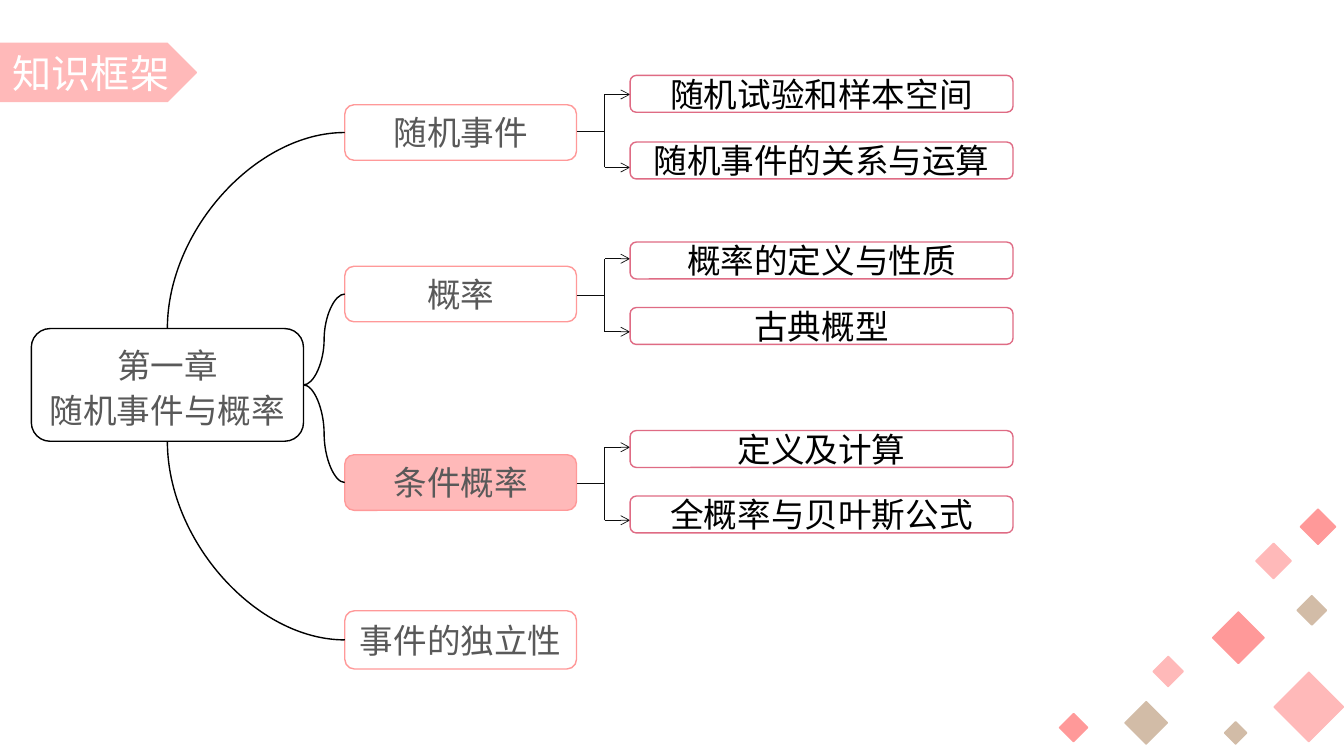
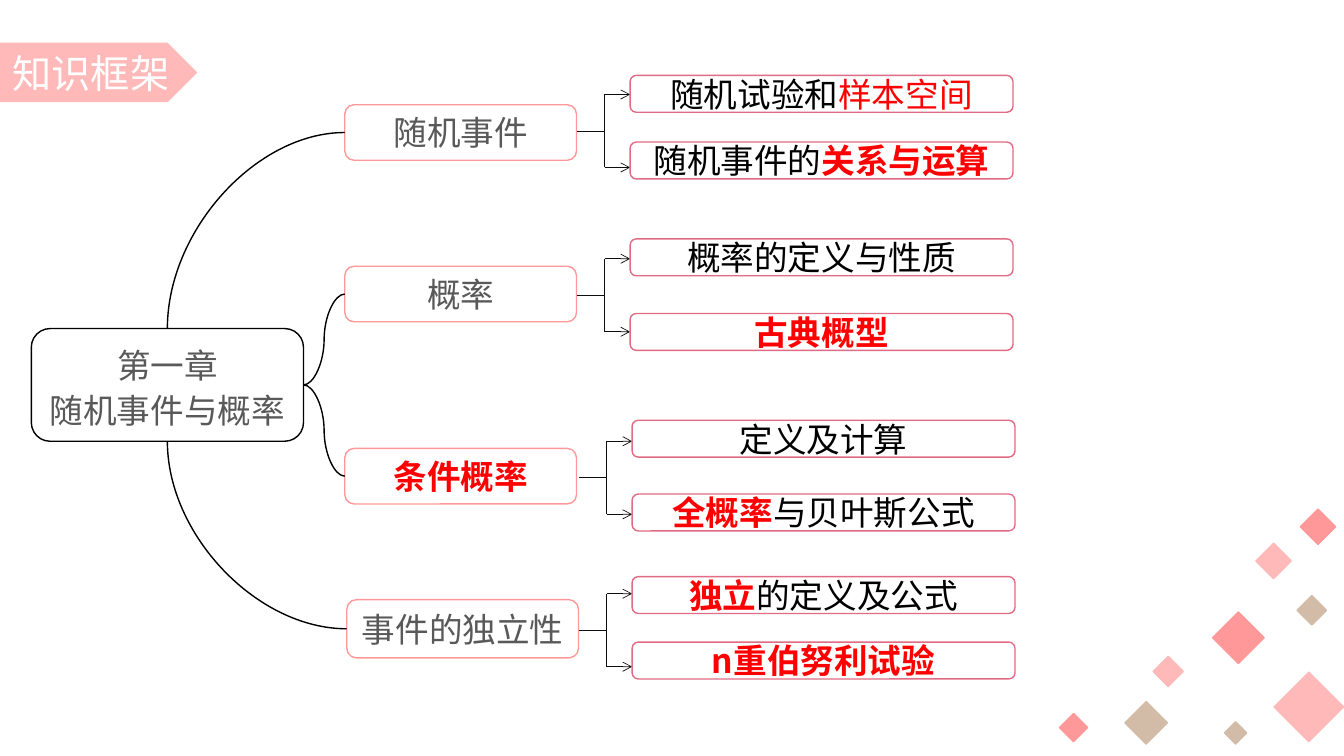
"""Build the two knowledge-framework slides of the probability chapter."""
from pptx import Presentation
from pptx.dml.color import RGBColor
from pptx.enum.shapes import MSO_CONNECTOR, MSO_SHAPE
from pptx.enum.text import MSO_ANCHOR, PP_ALIGN
from pptx.oxml.ns import qn
from pptx.util import Cm, Pt
from lxml import etree

STRAIGHT, CURVE = MSO_CONNECTOR.STRAIGHT, MSO_CONNECTOR.CURVE
DIAMOND, PENTAGON = MSO_SHAPE.DIAMOND, MSO_SHAPE.PENTAGON
ROUNDED = MSO_SHAPE.ROUNDED_RECTANGLE
MIDDLE, CENTER = MSO_ANCHOR.MIDDLE, PP_ALIGN.CENTER
TOP_SITE, LEFT_SITE, BOTTOM_SITE, RIGHT_SITE = range(4)

FONT = "Noto Sans CJK SC"
COLOURS = {
    "pink": "FFB9B9", "coral": "FF9999", "tan": "D2BCA7", "rose": "DF6B84",
    "grey": "595959", "ink": "0D0D0D", "black": "000000", "white": "FFFFFF",
    "red": "FF0000",
}
DIAMONDS = [
    (31.65, 13.69, 0.89, "pink"), (32.11, 16.94, 1.75, "pink"),
    (30.86, 18.19, 0.56, "tan"), (30.56, 15.42, 1.3, "coral"),
    (32.69, 15.01, 0.74, "tan"), (28.35, 17.68, 1.07, "tan"),
    (26.7, 17.98, 0.71, "coral"), (32.77, 12.83, 0.89, "coral"),
    (29.06, 16.54, 0.76, "pink"),
]
BRANCH_LEFT, BRANCH_WIDTH = 8.69, 5.84
LEAF_LEFT, LEAF_WIDTH, LEAF_HEIGHT = 15.88, 9.65, 0.93
FORK_LEFT, FORK_SPINE, FORK_REACH = 14.53, 15.24, 0.92
SHIFT = 0.05


def rgb(name):
    """Return the named colour."""
    return RGBColor.from_string(COLOURS[name])


def plain(text, colour="black"):
    """Return one unstressed span."""
    return text, {"colour": colour}


def key(text, bold=True):
    """Return one span stressed in red."""
    return text, {"colour": "red", "bold": bold}


def add_span(para, text, *, colour, size=24, bold=False):
    """Add formatted text to a paragraph."""
    span = para.add_run()
    span.text = text
    span.font.name = FONT
    span.font.size = Pt(size)
    span.font.bold = bold
    span.font.color.rgb = rgb(colour)
    etree.SubElement(span.font._element, qn("a:ea"), typeface=FONT)


def add_box(shapes, kind, place, *, line, fill=None, lines=(), spacing=None):
    """Add an outlined shape with centred lines of spans."""
    box = shapes.add_shape(kind, *(Cm(length) for length in place))
    box.shadow.inherit = False
    box.line.color.rgb = rgb(line)
    box.line.width = Pt(1)
    if fill:
        box.fill.solid()
        box.fill.fore_color.rgb = rgb(fill)
    else:
        box.fill.background()
    frame = box.text_frame
    frame.vertical_anchor = MIDDLE
    for index, spans in enumerate(lines):
        para = frame.add_paragraph() if index else frame.paragraphs[0]
        para.alignment = CENTER
        para.line_spacing = spacing
        for text, style in spans:
            add_span(para, text, **style)
    return box


def style_connector(connector, colour, width, arrow=False):
    """Set the stroke of a connector and drop its shadow."""
    connector.line.color.rgb = rgb(colour)
    connector.line.width = Pt(width)
    if arrow:
        etree.SubElement(connector.line._get_or_add_ln(), qn("a:tailEnd"), type="arrow")
    etree.SubElement(connector._element.spPr, qn("a:effectLst"))


def add_curve(page, branch, root, site):
    """Join the left of a branch to a side of the root."""
    curve = page.shapes.add_connector(CURVE, 0, 0, 0, 0)
    curve.begin_connect(branch, LEFT_SITE)
    curve.end_connect(root, site)
    if site != RIGHT_SITE:
        curve._element.spPr.find(qn("a:prstGeom")).set("prst", "curvedConnector2")
    style_connector(curve, "black", 1)


def add_fork(page, stem, shift):
    """Draw a stem that splits into two arrows."""
    shapes = page.shapes.add_group_shape().shapes
    start, spine, end = (x + shift for x in (FORK_LEFT, FORK_SPINE, LEAF_LEFT))
    upper, lower = stem - FORK_REACH, stem + FORK_REACH
    for x1, y1, x2, y2, arrow in (
        (spine, upper, end, upper, True),
        (spine, lower, spine, upper, False),
        (spine, lower, end, lower, True),
        (start, stem, spine, stem, False),
    ):
        line = shapes.add_connector(STRAIGHT, Cm(x1), Cm(y1), Cm(x2), Cm(y2))
        style_connector(line, "ink", 0.5, arrow)


def add_decor(page):
    """Add the title band and the corner diamonds."""
    shapes = page.shapes.add_group_shape().shapes
    for left, top, size, colour in DIAMONDS:
        add_box(shapes, DIAMOND, (left, top, size, size), line=colour, fill=colour)
    title = ("知识框架", {"colour": "white", "size": 28})
    add_box(page.shapes, PENTAGON, (0, 1.09, 4.95, 1.47), line="pink", fill="pink",
            lines=[[title]])


def add_branch(page, root, site, label, top, *, height=1.4, fill=None,
               left=BRANCH_LEFT, stem=None, shift=0, leaves=()):
    """Add a branch, its curve to the root, its fork and its leaves."""
    branch = add_box(page.shapes, ROUNDED, (left, top, BRANCH_WIDTH, height),
                     line="coral", fill=fill, lines=[[label]])
    add_curve(page, branch, root, site)
    if leaves:
        add_fork(page, stem, shift)
    for leaf_top, spans in leaves:
        place = (LEAF_LEFT + shift, leaf_top, LEAF_WIDTH, LEAF_HEIGHT)
        add_box(page.shapes, ROUNDED, place, line="rose", lines=[spans])


def add_map(deck, branches):
    """Add a page with the root and its four branches."""
    page = deck.slides.add_slide(deck.slide_layouts[6])
    add_decor(page)
    root = add_box(page.shapes, ROUNDED, (0.79, 8.28, 6.86, 2.84), line="black",
                   lines=[[plain("第一章", "grey")], [plain("随机事件与概率", "grey")]],
                   spacing=Pt(32))
    sites = (TOP_SITE, RIGHT_SITE, RIGHT_SITE, BOTTOM_SITE)
    for site, branch in zip(sites, branches):
        add_branch(page, root, site, **branch)


def main():
    """Build and save the deck."""
    deck = Presentation()
    deck.slide_width, deck.slide_height = Cm(33.87), Cm(19.05)
    events = {"label": plain("随机事件", "grey"), "top": 2.64, "stem": 3.3}
    chance = {"label": plain("概率", "grey"), "top": 6.71, "stem": 7.44}
    independence = {"label": plain("事件的独立性", "grey"), "height": 1.47}
    add_map(deck, [
        {**events, "leaves": [(1.9, [plain("随机试验和样本空间")]),
                              (3.58, [plain("随机事件的关系与运算")])]},
        {**chance, "leaves": [(6.1, [plain("概率的定义与性质")]),
                              (7.75, [plain("古典概型")])]},
        {"label": plain("条件概率", "grey"), "top": 11.46, "stem": 12.19, "fill": "pink",
         "leaves": [(10.85, [plain("定义及计算")]),
                    (12.5, [plain("全概率与贝叶斯公式")])]},
        {**independence, "top": 15.39},
    ])
    add_map(deck, [
        {**events, "leaves": [(1.9, [plain("随机试验和"), key("样本空间", bold=False)]),
                              (3.58, [plain("随机事件的"), key("关系与运算")])]},
        {**chance, "leaves": [(6.02, [plain("概率的定义与性质")]),
                              (7.9, [key("古典概型")])]},
        {"label": key("条件概率"), "top": 11.3, "stem": 12.04, "shift": SHIFT,
         "leaves": [(10.59, [plain("定义及计算")]),
                    (12.45, [key("全概率"), plain("与贝叶斯公式")])]},
        {**independence, "top": 15.11, "left": BRANCH_LEFT + SHIFT, "stem": 15.88,
         "shift": SHIFT,
         "leaves": [(14.53, [key("独立"), plain("的定义及公式")]),
                    (16.18, [key("n重伯努利试验")])]},
    ])
    deck.save("out.pptx")


if __name__ == "__main__":
    main()
